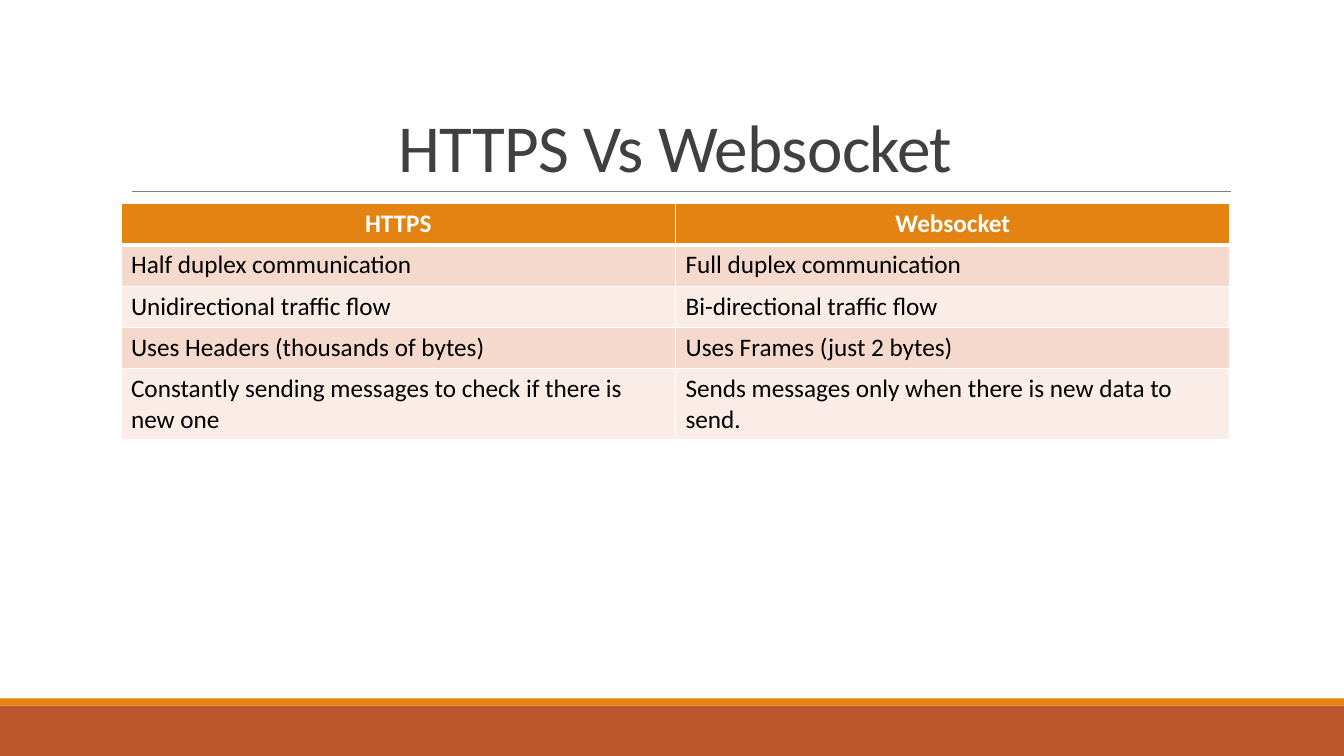
"""Build a slide comparing HTTPS and Websocket in a two-column table."""
from pptx import Presentation
from pptx.dml.color import RGBColor as RGB
from pptx.enum.shapes import MSO_CONNECTOR as CONN, MSO_SHAPE as SHAPE
from pptx.enum.text import MSO_ANCHOR as ANCHOR, PP_ALIGN as ALIGN
from pptx.oxml import parse_xml
from pptx.oxml.ns import nsdecls
from pptx.util import Inches, Pt

TITLE = "HTTPS Vs Websocket"
ROWS = [
    ("HTTPS", "Websocket"),
    ("Half duplex communication", "Full duplex communication"),
    ("Unidirectional traffic flow", "Bi-directional traffic flow"),
    ("Uses Headers (thousands of bytes)", "Uses Frames (just 2 bytes)"),
    ("Constantly sending messages to check if there is new one",
     "Sends messages only when there is new data to send."),
]
ROW_HEIGHTS = [0.41, 0.41, 0.41, 0.41, 0.7]
THEME = {
    "font": "Calibri", "title_size": 48, "table_size": 18,
    "title": "404040", "rule": "808080", "white": "FFFFFF", "text": "000000",
    "orange": "E48312", "rust": "BD582C", "bands": ("FAEDE7", "F5D9CC"),
}
WIDTH, HEIGHT = 13.33, 7.5
LEFT, CONTENT_WIDTH = 1.2, 11
FOOTER_BARS = [(7, 0.5, "rust"), (6.93, 0.07, "orange")]


def style(p, size, color, bold=False):
    p.font.name = THEME["font"]
    p.font.size = Pt(size)
    p.font.bold = bold
    p.font.color.rgb = RGB.from_string(color)


def add_footer(slide):
    for top, height, color in FOOTER_BARS:
        sp = slide.shapes.add_shape(SHAPE.RECTANGLE, 0, Inches(top), Inches(WIDTH), Inches(height))
        sp.shadow.inherit = False
        sp.fill.solid()
        sp.fill.fore_color.rgb = RGB.from_string(THEME[color])
        sp.line.fill.background()


def add_title(slide):
    rule = slide.shapes.add_connector(
        CONN.STRAIGHT, Inches(1.31), Inches(1.9), Inches(12.21), Inches(1.9))
    rule.line.color.rgb = RGB.from_string(THEME["rule"])
    rule.line.width = Pt(0.5)
    rule._element.spPr.append(parse_xml(f"<a:effectLst {nsdecls('a')}/>"))
    box = slide.shapes.add_textbox(Inches(LEFT), Inches(0.31), Inches(CONTENT_WIDTH), Inches(1.59))
    tf = box.text_frame
    tf.word_wrap = True
    tf.vertical_anchor = ANCHOR.BOTTOM
    p = tf.paragraphs[0]
    r = p.add_run()
    r.text = TITLE
    r._r.get_or_add_rPr().set("spc", "-50")
    p.alignment = ALIGN.CENTER
    p.line_spacing = 0.85
    style(p, THEME["title_size"], THEME["title"])


def set_borders(cell, is_header):
    tcPr = cell._tc.get_or_add_tcPr()
    for i, side in enumerate("LRTB"):
        thick = (is_header and side == "B")
        tcPr.insert(i, parse_xml(
            f'<a:ln{side} {nsdecls("a")} w="{Pt(3 if thick else 1)}"><a:solidFill>'
            f'<a:srgbClr val="{THEME["white"]}"/></a:solidFill></a:ln{side}>'))


def add_comparison(slide):
    cols = len(ROWS[0])
    table = slide.shapes.add_table(
        len(ROWS), cols, Inches(LEFT), Inches(2.02),
        Inches(CONTENT_WIDTH), Inches(sum(ROW_HEIGHTS))).table
    for column in table.columns:
        column.width = Inches(CONTENT_WIDTH / cols)
    for i, (texts, height) in enumerate(zip(ROWS, ROW_HEIGHTS)):
        table.rows[i].height = Inches(height)
        is_header = i == 0
        for j, text in enumerate(texts):
            cell = table.cell(i, j)
            cell.text = text
            cell.fill.solid()
            cell.fill.fore_color.rgb = RGB.from_string(
                THEME["orange"] if is_header else THEME["bands"][i % 2])
            set_borders(cell, is_header)
            p = cell.text_frame.paragraphs[0]
            p.alignment = ALIGN.CENTER if is_header else ALIGN.LEFT
            style(p, THEME["table_size"], THEME["white" if is_header else "text"], is_header)


def main():
    prs = Presentation()
    prs.slide_width, prs.slide_height = Inches(WIDTH), Inches(HEIGHT)
    slide = prs.slides.add_slide(prs.slide_layouts[6])
    add_footer(slide)
    add_title(slide)
    add_comparison(slide)
    prs.save("out.pptx")


if __name__ == "__main__":
    main()
